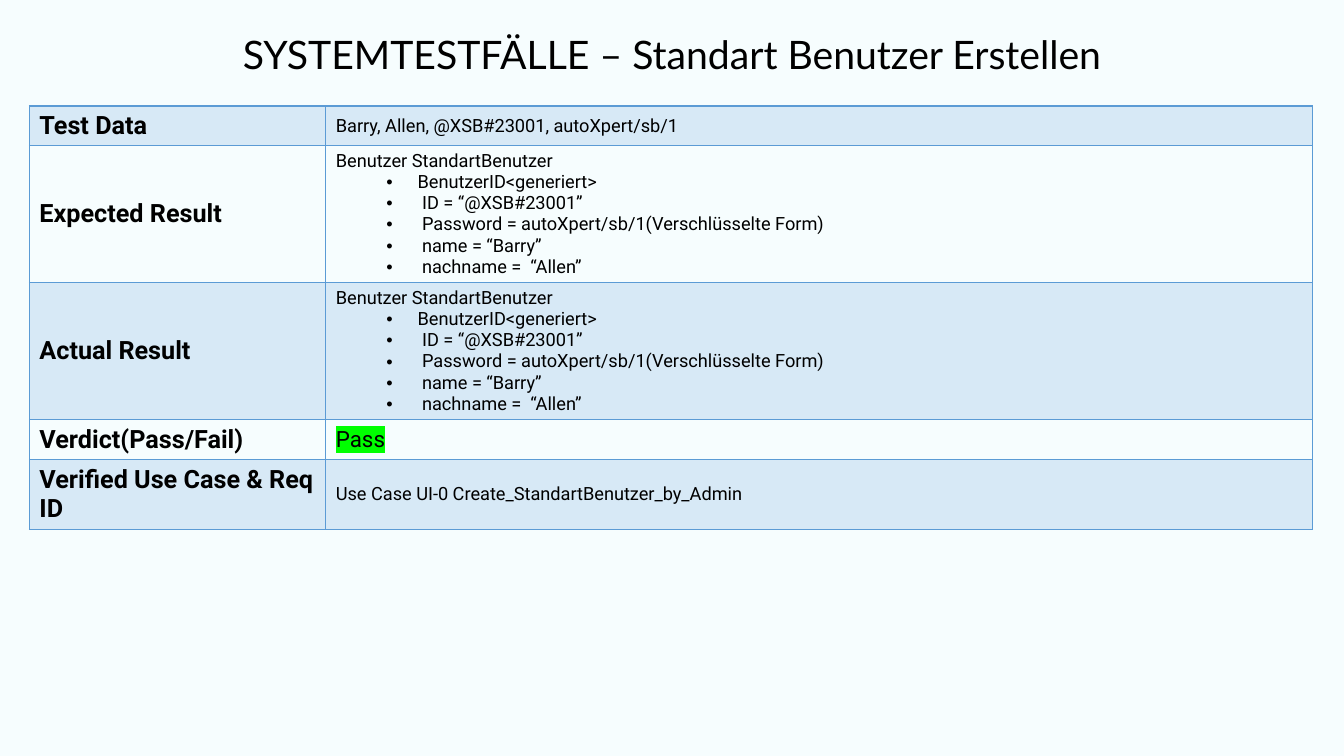
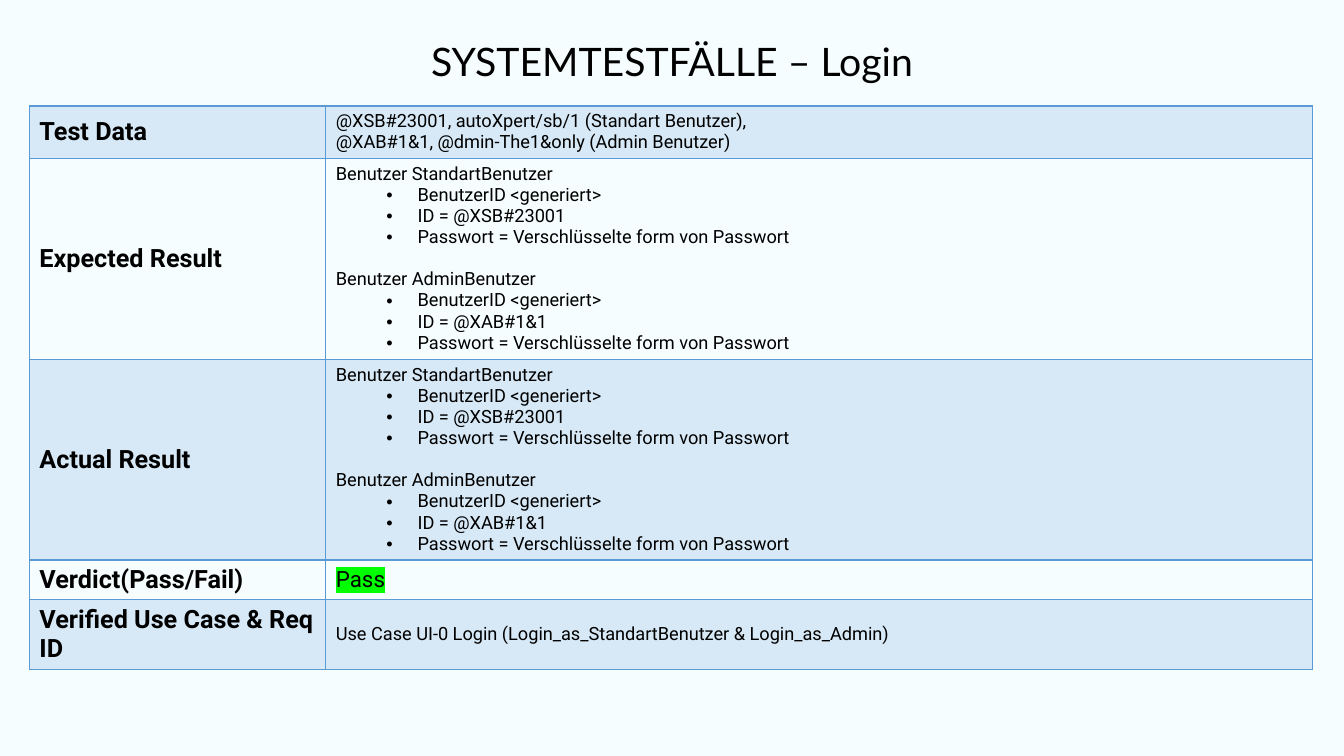
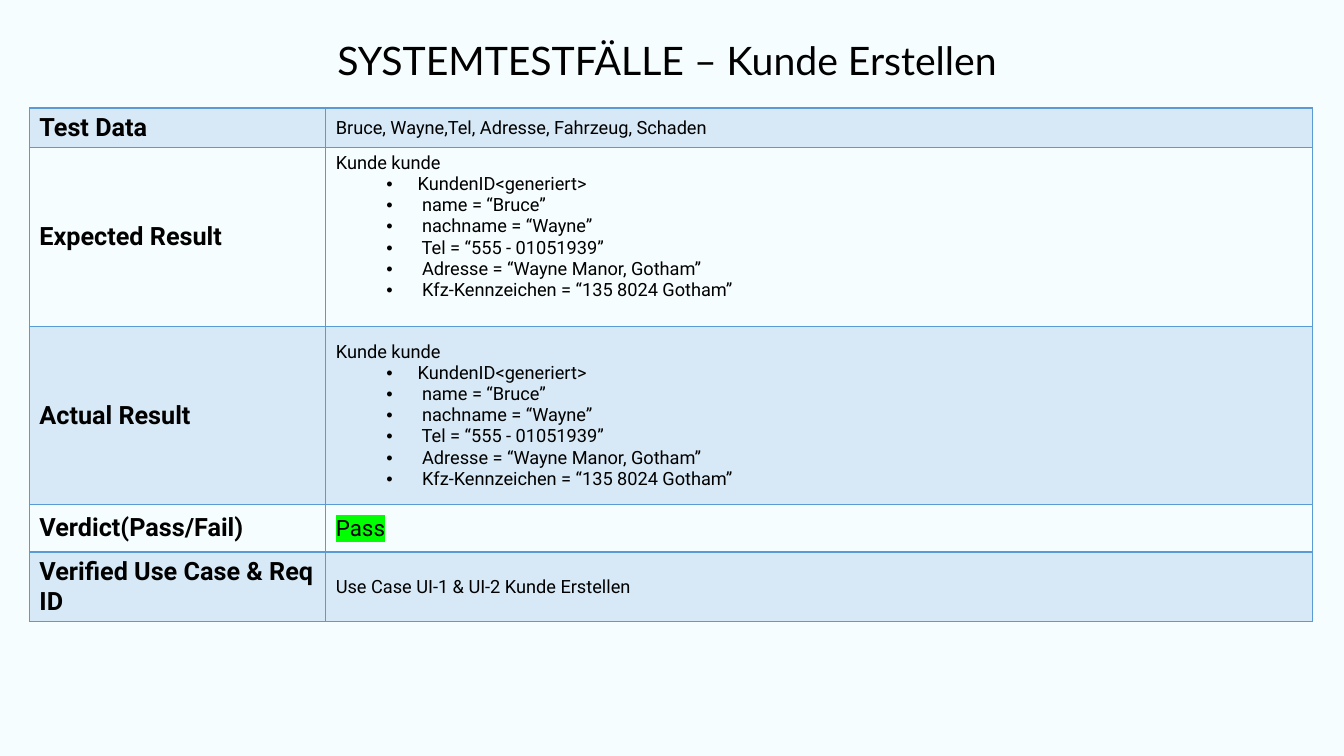
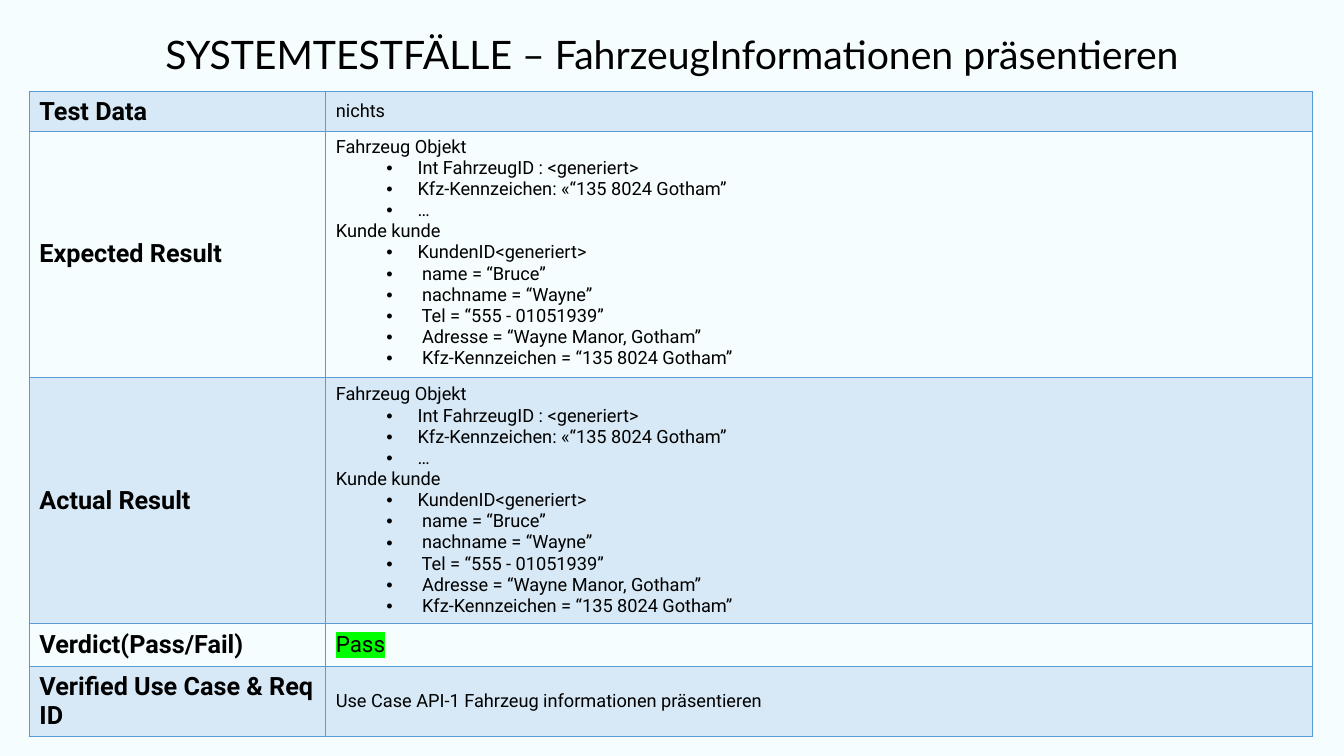
from dataclasses import dataclass

from lxml import etree
from pptx import Presentation
from pptx import util as u
from pptx.dml.color import RGBColor
from pptx.enum import text as t
from pptx.oxml import ns

# Shared look
BLACK = RGBColor(0, 0, 0)
PAPER = RGBColor(0xF6, 0xFD, 0xFE)
BAND = RGBColor(0xD7, 0xE9, 0xF6)
LINE = RGBColor(0x5B, 0x9B, 0xD5)
GREEN = RGBColor(0, 0xFF, 0)
HEAD, BODY = "Lato", "Roboto"
LEFT = u.Cm(0.74)
COLS = (u.Cm(7.47), u.Cm(24.87))
LABELS = (
    "Test Data",
    "Expected Result",
    "Actual Result",
    "Verdict(Pass/Fail)",
    "Verified Use Case & Req ID",
)
MIDDLE, TOP = t.MSO_ANCHOR.MIDDLE, t.MSO_ANCHOR.TOP


@dataclass(frozen=True)
class Block:
    """A plain line, the bullets below it and the space above it."""
    head: str
    items: tuple[str, ...] = ()
    gap: float = 0


@dataclass(frozen=True)
class Case:
    """One test case; lengths are centimetres."""
    name: str
    data: tuple[Block, ...]
    result: tuple[Block, ...]
    usage: str
    title_top: float
    table_top: float
    rows: tuple[float, ...]


# Test cases
SECRET = "Passwort = Verschlüsselte form von Passwort"
CLIENT = Block("Kunde kunde", (
    "KundenID<generiert>",
    " name = “Bruce”",
    " nachname = “Wayne”",
    " Tel = “555 - 01051939”",
    " Adresse = “Wayne Manor, Gotham”",
    " Kfz-Kennzeichen = “135 8024 Gotham”",
))
CASES = (
    Case(
        "Standart Benutzer Erstellen",
        (Block("Barry, Allen, @XSB#23001, autoXpert/sb/1"),),
        (Block("Benutzer StandartBenutzer", (
            "BenutzerID<generiert>",
            " ID = “@XSB#23001”",
            " Password = autoXpert/sb/1(Verschlüsselte Form)",
            " name = “Barry”",
            " nachname =  “Allen”",
        )),),
        "Use Case UI-0 Create_StandartBenutzer_by_Admin",
        0.72, 2.67, (1, 3.45, 3.45, 1, 1.76),
    ),
    Case(
        "Login",
        (Block("@XSB#23001, autoXpert/sb/1 (Standart Benutzer),"),
         Block("@XAB#1&1, @dmin-The1&only (Admin Benutzer)")),
        (Block("Benutzer StandartBenutzer",
               ("BenutzerID <generiert>", "ID = @XSB#23001", SECRET)),
         Block("Benutzer AdminBenutzer",
               ("BenutzerID <generiert>", "ID = @XAB#1&1", SECRET), gap=15)),
        "Use Case UI-0 Login (Login_as_StandartBenutzer & Login_as_Admin)",
        0.9, 2.67, (1.3, 5.06, 5.06, 1, 1.76),
    ),
    Case(
        "Kunde Erstellen ",
        (Block("Bruce, Wayne,Tel, Adresse, Fahrzeug, Schaden"),),
        (CLIENT,),
        "Use Case UI-1 & UI-2 Kunde Erstellen",
        0.87, 2.72, (1, 4.5, 4.5, 1.19, 1.76),
    ),
    Case(
        "FahrzeugInformationen präsentieren",
        (Block("nichts"),),
        (Block("Fahrzeug Objekt", (
            "Int FahrzeugID : <generiert>",
            "Kfz-Kennzeichen: «“135 8024 Gotham”",
            "…",
        )), CLIENT),
        "Use Case API-1 Fahrzeug informationen präsentieren",
        0.72, 2.31, (1, 6.2, 6.2, 1.08, 1.76),
    ),
)


def style(para, size: float, face: str = BODY, bold: bool = False) -> None:
    font = para.font
    font.name, font.size, font.bold = face, u.Pt(size), bold
    font.color.rgb = BLACK


def add_color(parent, tag: str, color: RGBColor) -> None:
    node = etree.SubElement(parent, ns.qn(tag))
    etree.SubElement(node, ns.qn("a:srgbClr"), val=str(color))


def add_bullet(para) -> None:
    para.level = 1
    props = para._p.get_or_add_pPr()
    props.set("marL", str(u.Cm(2.06)))
    props.set("indent", str(u.Cm(-0.79)))
    etree.SubElement(props, ns.qn("a:buFont"), typeface="Arial")
    etree.SubElement(props, ns.qn("a:buChar"), char="•")


def add_border(cell) -> None:
    props = cell._tc.get_or_add_tcPr()
    for side in "LRTB":
        edge = etree.SubElement(props, ns.qn(f"a:ln{side}"), w=str(u.Pt(1)))
        add_color(edge, "a:solidFill", LINE)


def write(cell, blocks: tuple[Block, ...], size: float = 13,
          bold: bool = False) -> None:
    lines = [(text, text is block.head, block.gap)
             for block in blocks for text in (block.head, *block.items)]
    frame = cell.text_frame
    for i, (line, plain, gap) in enumerate(lines):
        para = frame.add_paragraph() if i else frame.paragraphs[0]
        para.add_run().text = line
        if not plain:
            add_bullet(para)
        elif gap:
            para.space_before = u.Pt(gap)
        style(para, size, bold=bold)


def add_title(slide, case: Case) -> None:
    title = slide.shapes.title
    title.left, title.top = LEFT, u.Cm(case.title_top)
    title.width, title.height = u.Cm(32.39), u.Cm(1.4)
    frame = title.text_frame
    frame.text = f"SYSTEMTESTFÄLLE – {case.name}"
    frame.auto_size = t.MSO_AUTO_SIZE.NONE
    frame.vertical_anchor = MIDDLE
    para = frame.paragraphs[0]
    para.alignment, para.line_spacing = t.PP_ALIGN.CENTER, 0.9
    style(para, 28, HEAD)


def add_grid(slide, case: Case) -> None:
    table = slide.shapes.add_table(
        len(LABELS), len(COLS), LEFT, u.Cm(case.table_top),
        sum(COLS), u.Cm(sum(case.rows))).table
    table.first_row = table.horz_banding = False
    for col, width in zip(table.columns, COLS):
        col.width = width
    for row, high in zip(table.rows, case.rows):
        row.height = u.Cm(high)

    # Borders and alternating bands
    for r in range(len(LABELS)):
        for c in range(len(COLS)):
            cell = table.cell(r, c)
            cell.vertical_anchor = TOP if (r, c) == (1, 1) else MIDDLE
            add_border(cell)
            if r % 2:
                cell.fill.background()
            else:
                cell.fill.solid()
                cell.fill.fore_color.rgb = BAND

    # Labels and values
    values = (case.data, case.result, case.result,
              (Block("Pass"),), (Block(case.usage),))
    for r, (label, value) in enumerate(zip(LABELS, values)):
        verdict = r == 3
        write(table.cell(r, 0), (Block(label),), 18, True)
        write(table.cell(r, 1), value, 16 if verdict else 13)
        if verdict:
            run = table.cell(r, 1).text_frame.paragraphs[0].runs[0]
            add_color(run._r.get_or_add_rPr(), "a:highlight", GREEN)


def main() -> None:
    deck = Presentation()
    deck.slide_width, deck.slide_height = u.Cm(33.87), u.Cm(19.05)
    fill = deck.slide_master.background.fill
    fill.solid()
    fill.fore_color.rgb = PAPER
    for case in CASES:
        slide = deck.slides.add_slide(deck.slide_layouts[5])
        add_title(slide, case)
        add_grid(slide, case)
    deck.save("out.pptx")


if __name__ == "__main__":
    main()
